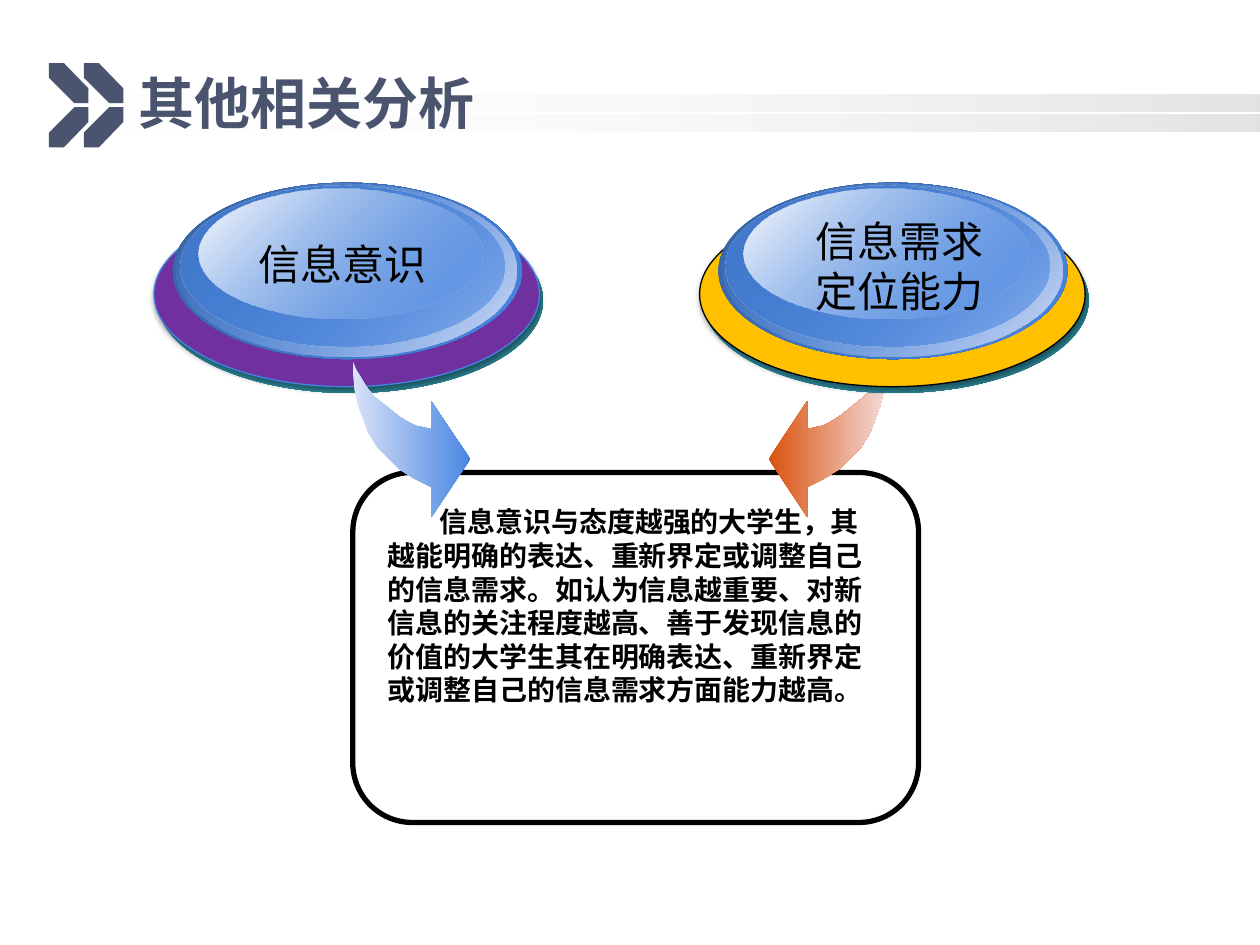
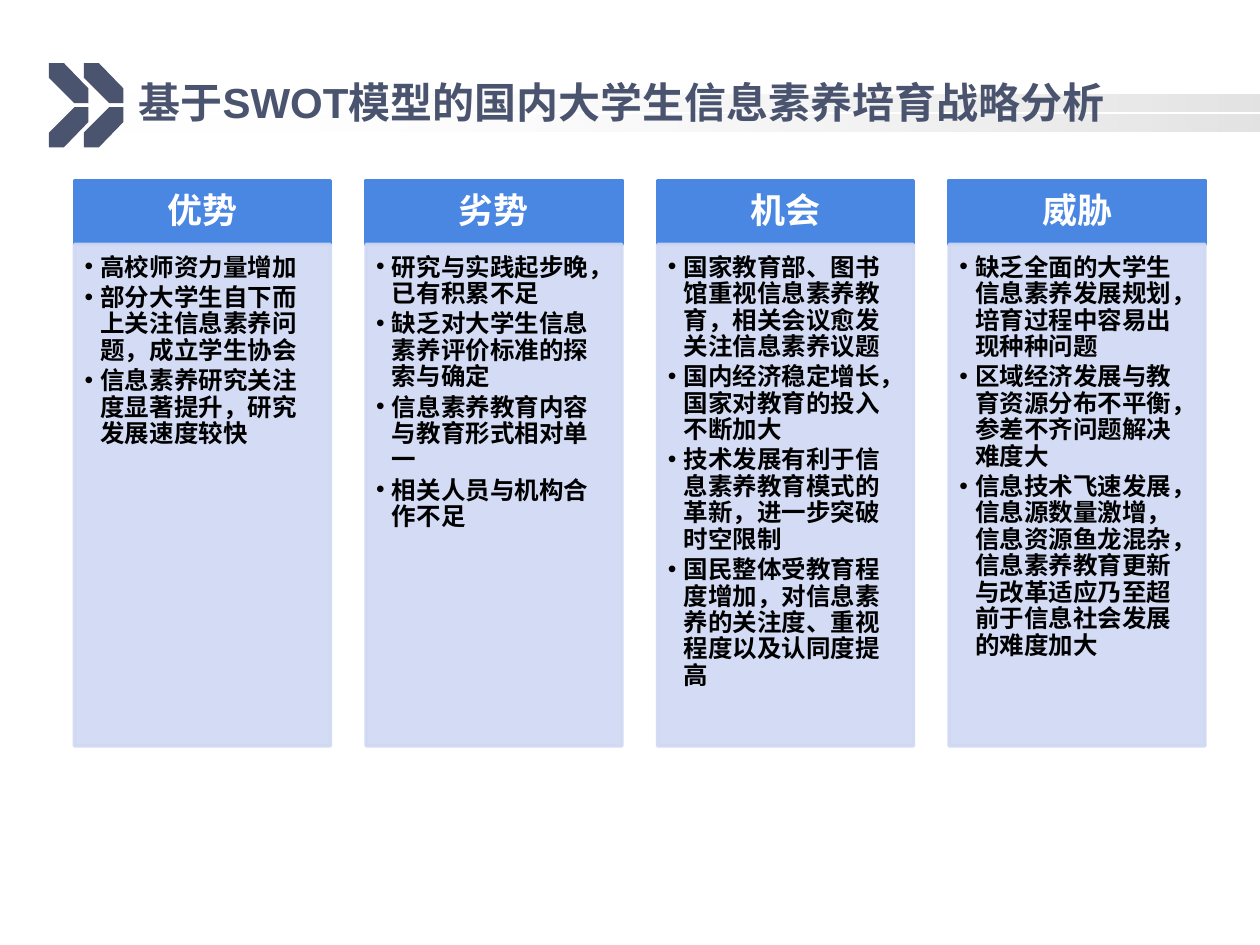
import pptx
import pptx.dml.color
import pptx.enum.shapes
import pptx.enum.text
import pptx.oxml.ns
import pptx.util
from lxml import etree

Pt = pptx.util.Pt
SHAPES = pptx.enum.shapes.MSO_SHAPE
ALIGN = pptx.enum.text.PP_ALIGN
ANCHOR = pptx.enum.text.MSO_ANCHOR
AUTO_SIZE = pptx.enum.text.MSO_AUTO_SIZE
qn = pptx.oxml.ns.qn

LATIN_FONT = "Arial"
CHINESE_FONT = "Noto Sans CJK SC"
SLATE, BLUE, PALE_BLUE = "4B546F", "4987E3", "D0D9F4"
BLACK, WHITE = "000000", "FFFFFF"

RELATION_TITLE = "其他相关分析"
CONCLUSION = (
    "信息意识与态度越强的大学生，其越能明确的表达、重新界定或调整自己的信息需求。"
    "如认为信息越重要、对新信息的关注程度越高、善于发现信息的价值的大学生"
    "其在明确表达、重新界定或调整自己的信息需求方面能力越高。"
)
AWARENESS = {
    "lines": ["信息意识"], "left": 88, "rim": "7030A0", "rim_line": "4483E2",
    "label": (82, 133.2, 227, 36.7),
}
POSITIONING = {
    "lines": ["信息需求", "定位能力"], "left": 399.8, "rim": "FFC000", "rim_line": BLACK,
    "label": (458, 119.5, 111.6, 65.5),
}

SWOT_TITLE = "基于SWOT模型的国内大学生信息素养培育战略分析"
SWOT = [
    ("优势", [
        "高校师资力量增加",
        "部分大学生自下而上关注信息素养问题，成立学生协会",
        "信息素养研究关注度显著提升，研究发展速度较快",
    ]),
    ("劣势", [
        "研究与实践起步晚，已有积累不足",
        "缺乏对大学生信息素养评价标准的探索与确定",
        "信息素养教育内容与教育形式相对单一",
        "相关人员与机构合作不足",
    ]),
    ("机会", [
        "国家教育部、图书馆重视信息素养教育，相关会议愈发关注信息素养议题",
        "国内经济稳定增长，国家对教育的投入不断加大",
        "技术发展有利于信息素养教育模式的革新，进一步突破时空限制",
        "国民整体受教育程度增加，对信息素养的关注度、重视程度以及认同度提高",
    ]),
    ("威胁", [
        "缺乏全面的大学生信息素养发展规划，培育过程中容易出现种种问题",
        "区域经济发展与教育资源分布不平衡，参差不齐问题解决难度大",
        "信息技术飞速发展，信息源数量激增，信息资源鱼龙混杂，"
        "信息素养教育更新与改革适应乃至超前于信息社会发展的难度加大",
    ]),
]

# Upper half of a chevron; the lower half mirrors it.
CHEVRON = [(28, 36), (28, 44.5), (42.5, 59), (50.5, 59), (50.5, 50.5), (36.5, 36)]
CHEVRON_MIRROR = 120.25
CHEVRON_STEP = 20

# Curved arrow, as offsets from its tail.
ARROW = [
    (0, 0), (0, 10), (1, 20), (3, 29), (6, 37), (9, 45), (14, 53), (20, 59), (27, 66),
    (35, 71), (45, 76), (45, 93), (67, 60), (45, 27), (45, 43), (41, 42), (36, 41),
    (32, 39), (27, 36), (22, 32), (17, 28), (12, 24), (8, 19), (5, 14), (2, 9), (0, 4),
]
ARROW_TOP = 202.3

# Glossy layers above the rim: offset from the rim's left, top, width, height, gradient, alphas.
GLOSS = [
    (10.8, 104.4, 199.4, 100.8, ("3461A2", BLUE), ()),
    (13, 105, 194.4, 98.6, (BLUE, "D6DFF6"), (0, 100)),
    (15, 105.8, 185, 92.2, ("427ACD", BLUE), (100, 48)),
    (25.2, 108, 162.7, 74.2, (WHITE, BLUE), (100, 38)),
]
RIM_TOP, RIM_WIDTH, RIM_HEIGHT = 115.2, 220.3, 105.8


def rgb(colour):
    return pptx.dml.color.RGBColor.from_string(colour)


def paint(shape, fill=None, angle=0, line=None, line_width=1, alphas=()):
    """Fill with one colour or a pair for a gradient; alphas are percents, fill first, then line."""
    shape.shadow.inherit = False
    if fill is None:
        shape.fill.background()
    elif isinstance(fill, str):
        shape.fill.solid()
        shape.fill.fore_color.rgb = rgb(fill)
    else:
        shape.fill.gradient()
        shape.fill.gradient_angle = 360 - angle
        for stop, colour in zip(shape.fill.gradient_stops, fill):
            stop.color.rgb = rgb(colour)
    if line:
        shape.line.color.rgb = rgb(line)
        shape.line.width = Pt(line_width)
    else:
        shape.line.fill.background()
    for colour, alpha in zip(list(shape.element.spPr.iter(qn("a:srgbClr"))), alphas):
        etree.SubElement(colour, qn("a:alpha"), val=str(alpha * 1000))


def add_shape(slide, kind, box, **style):
    shape = slide.shapes.add_shape(kind, *map(Pt, box))
    paint(shape, **style)
    return shape


def add_outline(slide, points, **style):
    points = [(Pt(x), Pt(y)) for x, y in points]
    builder = slide.shapes.build_freeform(*points[0])
    builder.add_line_segments(points[1:], close=True)
    shape = builder.convert_to_shape()
    paint(shape, **style)
    return shape


def add_run(paragraph, text, size, colour=BLACK, bold=True, font=LATIN_FONT):
    run = paragraph.add_run()
    run.text = text
    run.font.size = Pt(size)
    run.font.bold = bold
    run.font.name = font
    run.font.color.rgb = rgb(colour)
    etree.SubElement(run._r.get_or_add_rPr(), qn("a:ea"), typeface=CHINESE_FONT)


def set_indent(paragraph, left, first_line, bullet=None):
    properties = paragraph._p.get_or_add_pPr()
    properties.set("marL", str(Pt(left)))
    properties.set("indent", str(Pt(first_line)))
    if bullet:
        etree.SubElement(properties, qn("a:buFont"), typeface=LATIN_FONT)
        etree.SubElement(properties, qn("a:buChar"), char=bullet)


def add_text_box(slide, box, wrap=True):
    frame = slide.shapes.add_textbox(*map(Pt, box)).text_frame
    frame.word_wrap = wrap
    frame.auto_size = AUTO_SIZE.SHAPE_TO_FIT_TEXT
    return frame


def prepare_layout(layout, slide):
    """Place the title and move the bands and chevrons, drawn on the slide, to the layout."""
    for placeholder in list(layout.placeholders):
        if placeholder.placeholder_format.idx != 0:
            layout.shapes.element.remove(placeholder.element)
    title = layout.placeholders[0]
    title.left, title.top, title.width, title.height = map(Pt, (72, 36, 594, 44.6))
    title.text_frame.vertical_anchor = ANCHOR.MIDDLE

    decorations = [
        add_shape(slide, SHAPES.RECTANGLE, (54, top, 666, 9.5),
                  fill=(WHITE, "969696"), alphas=(0, 27))
        for top in (54, 65.4)
    ]
    lower = [(x, CHEVRON_MIRROR - y) for x, y in CHEVRON]
    for shift in (0, CHEVRON_STEP):
        for half in (CHEVRON, lower):
            points = [(x + shift, y) for x, y in half]
            decorations.append(add_outline(slide, points, fill=SLATE))
    for decoration in decorations:
        layout.shapes.element.append(decoration.element)


def set_title(slide, text, size):
    frame = slide.shapes.title.text_frame
    frame.auto_size = AUTO_SIZE.NONE
    frame.vertical_anchor = ANCHOR.MIDDLE
    paragraph = frame.paragraphs[0]
    paragraph.alignment = ALIGN.LEFT
    add_run(paragraph, text, size, SLATE)


def add_badge(slide, badge):
    left = badge["left"]
    add_shape(slide, SHAPES.OVAL, (left + 2, RIM_TOP + 3.6, RIM_WIDTH, RIM_HEIGHT),
              fill=("36A1B6", "277685"), angle=45)
    rim = add_shape(slide, SHAPES.OVAL, (left, RIM_TOP, RIM_WIDTH, RIM_HEIGHT),
                    fill=badge["rim"], line=badge["rim_line"], line_width=0.75)
    shadow = etree.SubElement(
        rim.element.spPr.find(qn("a:effectLst")), qn("a:outerShdw"),
        blurRad=str(Pt(3.1)), dist=str(Pt(1.8)), dir="5400000", rotWithShape="0")
    colour = etree.SubElement(shadow, qn("a:srgbClr"), val=BLACK)
    etree.SubElement(colour, qn("a:alpha"), val="35000")
    for offset, top, width, height, gradient, alphas in GLOSS:
        add_shape(slide, SHAPES.OVAL, (left + offset, top, width, height),
                  fill=gradient, angle=45, alphas=alphas)
    paragraph = add_text_box(slide, badge["label"], len(badge["lines"]) == 1).paragraphs[0]
    paragraph.alignment = ALIGN.CENTER
    paragraph.line_spacing = Pt(28.6)
    for index, line in enumerate(badge["lines"]):
        if index:
            paragraph.add_line_break()
        add_run(paragraph, line, 24, bold=False, font=CHINESE_FONT)


def add_arrow(slide, tail, direction, gradient):
    points = [(tail + direction * x, ARROW_TOP + y) for x, y in ARROW]
    add_outline(slide, points, fill=gradient)


def fill_relation_slide(slide):
    set_title(slide, RELATION_TITLE, 32)
    box = add_shape(slide, SHAPES.ROUNDED_RECTANGLE, (201.6, 270, 323.3, 200),
                    line=BLACK, line_width=3)
    box.adjustments[0] = 0.17
    paragraph = add_text_box(slide, (214.6, 285, 288, 143)).paragraphs[0]
    paragraph.line_spacing = Pt(19.2)
    set_indent(paragraph, 0, 29.7)
    add_run(paragraph, CONCLUSION, 16)
    add_arrow(slide, 506.2, -1, ("D9520F", "F4DBD8"))
    add_badge(slide, AWARENESS)
    add_arrow(slide, 201.6, 1, ("DAE2F7", BLUE))
    add_badge(slide, POSITIONING)


def set_margins(frame, left, top, right, bottom):
    frame.margin_left, frame.margin_top = Pt(left), Pt(top)
    frame.margin_right, frame.margin_bottom = Pt(right), Pt(bottom)
    frame.word_wrap = True


def fill_swot_slide(slide):
    set_title(slide, SWOT_TITLE, 24)
    first_left, step, width = 42.6, 166.6, 146.2
    top, header_height, body_height = 103, 36.7, 286.6
    for column, (heading, points) in enumerate(SWOT):
        left = first_left + column * step
        header = add_shape(slide, SHAPES.RECTANGLE, (left, top, width, header_height),
                           fill=BLUE, line=BLUE, line_width=2)
        set_margins(header.text_frame, 11.5, 6.5, 11.5, 6.5)
        header.text_frame.vertical_anchor = ANCHOR.MIDDLE
        paragraph = header.text_frame.paragraphs[0]
        paragraph.alignment = ALIGN.CENTER
        paragraph.line_spacing = 0.9
        add_run(paragraph, heading, 20, WHITE)

        body = add_shape(slide, SHAPES.RECTANGLE,
                         (left, top + header_height, width, body_height),
                         fill=PALE_BLUE, line=PALE_BLUE, line_width=2, alphas=(90, 90))
        frame = body.text_frame
        set_margins(frame, 5.8, 5.8, 7.9, 8.6)
        frame.vertical_anchor = ANCHOR.TOP
        for index, point in enumerate(points):
            paragraph = frame.add_paragraph() if index else frame.paragraphs[0]
            paragraph.alignment = ALIGN.LEFT
            paragraph.line_spacing = Pt(15.1)
            paragraph.space_after = Pt(2.2)
            set_indent(paragraph, 9, -9, "•")
            add_run(paragraph, point, 14)


def main():
    presentation = pptx.Presentation()
    presentation.slide_width, presentation.slide_height = Pt(720), Pt(540)
    layout = presentation.slide_layouts[5]
    relation_slide, swot_slide = [presentation.slides.add_slide(layout) for _ in range(2)]
    prepare_layout(layout, relation_slide)
    fill_relation_slide(relation_slide)
    fill_swot_slide(swot_slide)
    presentation.save("out.pptx")


if __name__ == "__main__":
    main()
